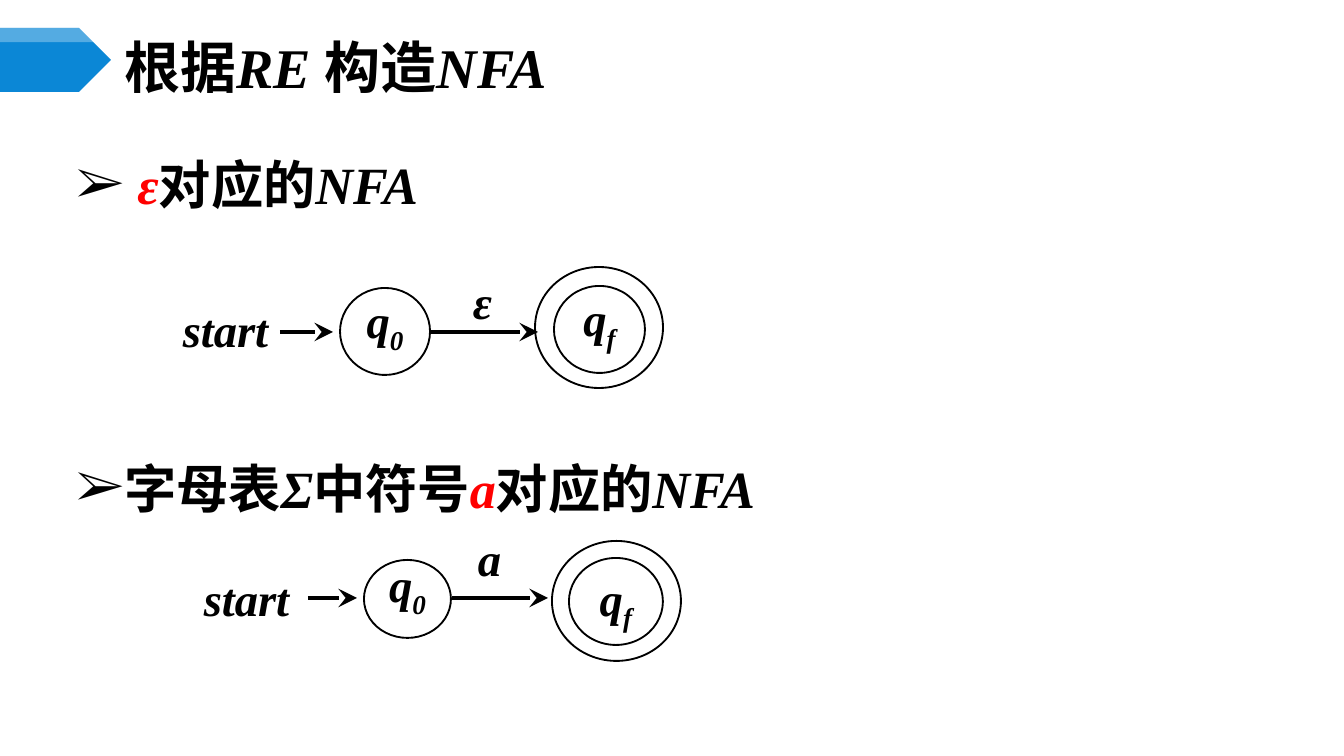
from lxml.etree import SubElement
from pptx import Presentation
from pptx.dml.color import RGBColor
from pptx.enum.shapes import MSO_CONNECTOR, MSO_SHAPE
from pptx.enum.text import MSO_ANCHOR as ANCHOR, PP_ALIGN as ALIGN
from pptx.oxml.ns import qn
from pptx.util import Pt

PX = 914400 / 134.4
BLACK = RGBColor(0, 0, 0)
WHITE = RGBColor(255, 255, 255)
RED = RGBColor(255, 0, 0)
BLUE = RGBColor(0x0B, 0x87, 0xD6)
SERIF, CJK = "Times New Roman", "Noto Sans CJK SC"


def px(*lengths):
    return [round(n * PX) for n in lengths]


def add_run(p, text, size, italic=True, color=BLACK, font=SERIF):
    r = p.add_run()
    r.text = text
    r.font.size, r.font.name = Pt(size), font
    r.font.bold, r.font.italic = True, italic
    r.font.color.rgb = color
    SubElement(r.font._element, qn("a:ea"), typeface=CJK)
    return r


def add_symbol(shape, text, sub="", anchor=ANCHOR.MIDDLE):
    """Centred math symbol with an optional subscript."""
    tf = shape.text_frame
    tf.word_wrap, tf.vertical_anchor = False, anchor
    tf.margin_left = tf.margin_right = 0
    p = tf.paragraphs[0]
    p.alignment = ALIGN.CENTER
    add_run(p, text, 25)
    if sub:
        r = add_run(p, sub, 25)
        r.font._element.set("baseline", "-25000")


def add_header(s, box):
    x, y, w, h = box

    # Blue tag with a translucent stripe along its top
    def tag(width, height, tip):
        points = [(x + width - tip, y), (x + width, y + height / 2),
                  (x + width - tip, y + height), (x, y + height)]
        builder = s.shapes.build_freeform(x, y, scale=PX)
        builder.add_line_segments(points)
        sp = builder.convert_to_shape()
        sp.shadow.inherit = False
        sp.fill.solid()
        sp.line.fill.background()
        return sp

    tag(111, h, 32).fill.fore_color.rgb = BLUE
    stripe = tag(111, 14, 6)
    stripe.fill.fore_color.rgb = WHITE
    color = stripe.fill._xPr.find(qn("a:solidFill"))[0]
    SubElement(color, qn("a:alpha"), val="30000")

    # Title
    tf = s.shapes.add_textbox(*px(x + 111, y + 12, w - 111, 52)).text_frame
    tf.word_wrap, tf.vertical_anchor = True, ANCHOR.MIDDLE
    p = tf.paragraphs[0]
    add_run(p, "根据", 30, False, font=CJK)
    add_run(p, "RE ", 30)
    add_run(p, "构造", 30, False, font=CJK)
    add_run(p, "NFA", 30)


def add_headings(s, box, headings):
    tf = s.shapes.add_textbox(*px(*box)).text_frame
    tf.word_wrap = True
    for i, runs in enumerate(headings):
        p = tf.add_paragraph() if i else tf.paragraphs[0]
        pPr = p._p.get_or_add_pPr()
        pPr.set("marL", str(px(40)[0]))
        pPr.set("indent", str(px(-40)[0]))
        SubElement(pPr, qn("a:buFont"), typeface=SERIF)
        SubElement(pPr, qn("a:buChar"), char="➢")
        if i:
            p.space_before = Pt(129)
        for text, italic, color in runs:
            add_run(p, text, 28, italic, color)


def add_automaton(s, box, symbol, parts, edges, edge_y, final_anchor):
    """Two-state NFA; parts and edges are relative to the box."""
    x, y = box[:2]
    group = s.shapes.add_group_shape().shapes

    def place(name):
        left, top, w, h = parts[name]
        return px(x + left, y + top, w, h)

    def state(name, filled=True):
        sp = group.add_shape(MSO_SHAPE.OVAL, *place(name))
        sp.shadow.inherit = False
        if filled:
            sp.fill.solid()
            sp.fill.fore_color.rgb = WHITE
        else:
            sp.fill.background()
        sp.line.color.rgb, sp.line.width = BLACK, Pt(1)
        return sp

    # States
    add_symbol(state("initial"), "q", "0", ANCHOR.BOTTOM)
    add_symbol(state("final"), "q", "f", final_anchor)
    state("ring", filled=False)

    # Labels
    for name, text in (("start", "start"), ("symbol", symbol)):
        add_symbol(group.add_textbox(*place(name)), text)

    # Transitions
    for x1, x2 in edges:
        ends = px(x + x1, y + edge_y, x + x2, y + edge_y)
        line = group.add_connector(MSO_CONNECTOR.STRAIGHT, *ends)
        line.line.color.rgb, line.line.width = BLACK, Pt(2)
        SubElement(line.line._get_or_add_ln(), qn("a:tailEnd"),
                   type="stealth", w="lg", len="lg")
        SubElement(line._element.spPr, qn("a:effectLst"))


def main():
    prs = Presentation()
    prs.slide_width, prs.slide_height = px(1344, 756)
    s = prs.slides.add_slide(prs.slide_layouts[6])

    add_headings(s, (63, 146, 1132, 474), [
        [(" ", False, BLACK), ("ε", True, RED),
         ("对应的", False, BLACK), ("NFA", True, BLACK)],
        [("字母表", False, BLACK), ("Σ", True, BLACK),
         ("中符号", False, BLACK), ("a", True, RED),
         ("对应的", False, BLACK), ("NFA", True, BLACK)],
    ])
    add_header(s, (0, 28, 1276, 64))

    # NFA for the empty string
    add_automaton(s, (172, 266, 491, 122), "ε", {
        "start": (0, 28, 107, 70), "initial": (168, 22, 90, 87),
        "symbol": (257, 0, 107, 70), "final": (382, 20, 91, 87),
        "ring": (363, 1, 128, 121),
    }, [(108, 161), (258, 366)], 66, ANCHOR.BOTTOM)

    # NFA for a single letter
    add_automaton(s, (198, 535, 483, 126), "a", {
        "start": (0, 40, 97, 46), "initial": (166, 25, 87, 78),
        "symbol": (243, 0, 97, 46), "final": (371, 23, 94, 87),
        "ring": (354, 6, 129, 120),
    }, [(110, 159), (254, 350)], 63, ANCHOR.MIDDLE)

    prs.save("out.pptx")


if __name__ == "__main__":
    main()
